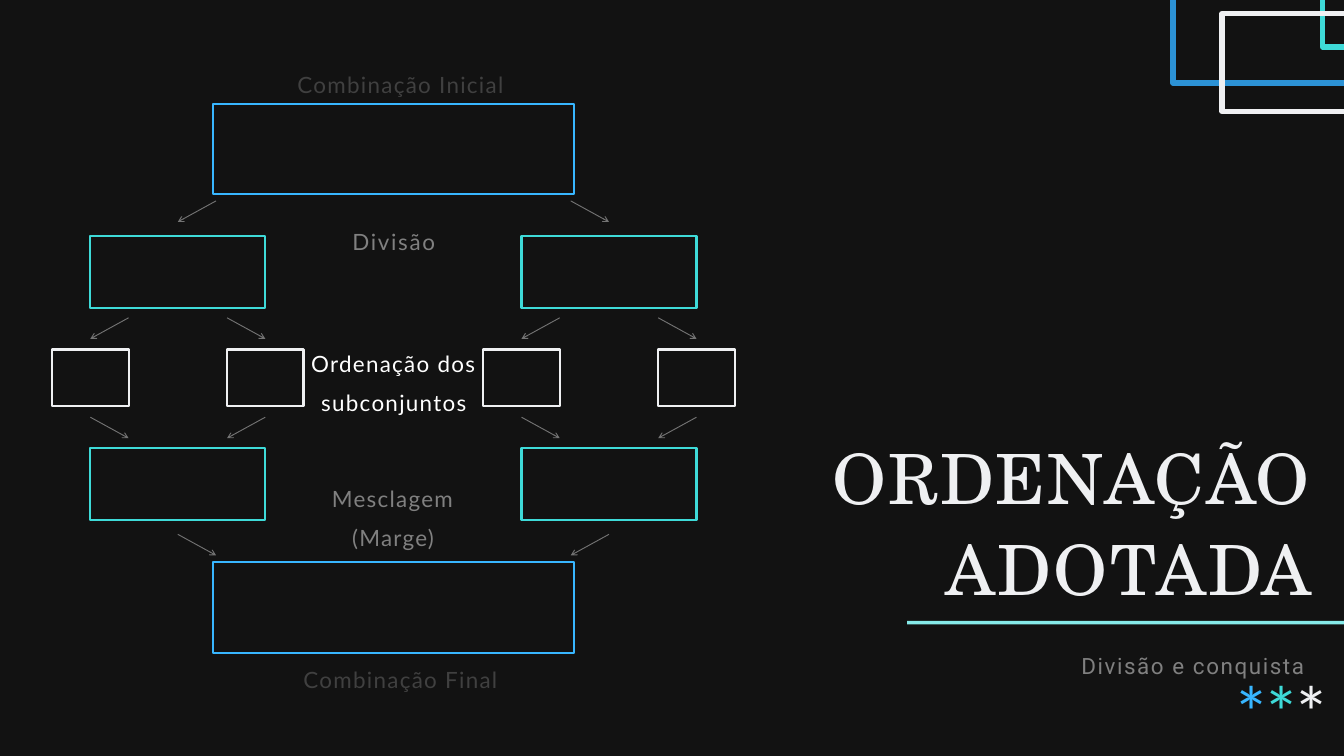
"""Build the divide-and-conquer sorting slide with its split and merge diagram."""
from dataclasses import dataclass

from lxml import etree
from pptx import Presentation
from pptx.dml.color import RGBColor
from pptx.enum.shapes import MSO_CONNECTOR, MSO_SHAPE
from pptx.enum.text import MSO_AUTO_SIZE, PP_ALIGN
from pptx.oxml.ns import qn
from pptx.slide import Slide
from pptx.util import Pt

RECTANGLE = MSO_SHAPE.RECTANGLE
STRAIGHT = MSO_CONNECTOR.STRAIGHT
GROW = MSO_AUTO_SIZE.SHAPE_TO_FIT_TEXT
CENTER, RIGHT = PP_ALIGN.CENTER, PP_ALIGN.RIGHT


@dataclass(frozen=True)
class Theme:
    background: str = "121212"
    blue: str = "38B6FF"
    deep_blue: str = "2C92D5"
    teal: str = "3EDAD8"
    pale_teal: str = "86EAE9"
    light: str = "EFF0F2"
    white: str = "FFFFFF"
    gray: str = "808080"
    dark_gray: str = "404040"
    arrow_gray: str = "737373"
    body_font: str = "Lato"
    subtitle_font: str = "Roboto"
    title_font: str = "TeX Gyre Schola"
    body_size: float = 24
    title_size: float = 74.2
    star_size: float = 75.7
    box_line: float = 2.25
    frame_line: float = 6
    arrow_line: float = 1


THEME = Theme()


@dataclass(frozen=True)
class Box:
    left: float
    top: float
    width: float
    height: float


@dataclass(frozen=True)
class Label:
    box: Box
    pieces: tuple[tuple[str, str], ...]
    line_spacing: float
    tracking: float = 1.4
    font: str = THEME.body_font
    size: float = THEME.body_size
    align: PP_ALIGN = CENTER


@dataclass(frozen=True)
class Level:
    centers: tuple[float, ...]
    tops: tuple[float, ...]
    width: float
    height: float
    color: str


@dataclass(frozen=True)
class Fork:
    center: float
    spread: float
    split_top: float
    merge_top: float


ARROW_WIDTH, ARROW_HEIGHT = 41, 22.5
AXIS, HALF_SPREAD, QUARTER_SPREAD = 421.5, 231, 93.75
HALVES = (AXIS - HALF_SPREAD, AXIS + HALF_SPREAD)
QUARTERS = tuple(half + side * QUARTER_SPREAD for half in HALVES for side in (-1, 1))

LEVELS = (
    Level((AXIS,), (111, 602), 387.5, 97.25, THEME.blue),
    Level(HALVES, (252.5, 480), 187.5, 77.5, THEME.teal),
    Level(QUARTERS, (374.5,), 82, 61, THEME.light),
)
FORKS = (
    Fork(AXIS, HALF_SPREAD, 215.25, 572.5),
    *(Fork(half, QUARTER_SPREAD, 340.5, 447) for half in HALVES),
)
LABELS = (
    Label(Box(244.8, 61.2, 368.6, 37.4), (("Combinação Inicial", THEME.dark_gray),), 43.5),
    Label(Box(325.4, 219.6, 193, 46.8), (("Divisão", THEME.gray),), 54, 1.8),
    Label(Box(311.8, 361.4, 220.3, 79.2), (("Ordenação dos subconjuntos", THEME.white),), 42),
    Label(Box(338.4, 506.2, 165.6, 79.2), (("Mesclagem (Marge)", THEME.gray),), 42),
    Label(Box(244.8, 699.1, 368.6, 37.4), (("Combinação Final", THEME.dark_gray),), 43.5),
    Label(Box(1306.1, 724.3, 133.9, 85.7),
          (("*", THEME.blue), ("*", THEME.teal), ("*", THEME.light)),
          83.3, 0, size=THEME.star_size),
    Label(Box(856.1, 459.4, 549.4, 193.7), (("ORDENAÇÃO ADOTADA", THEME.light),),
          96.5, 2.2, THEME.title_font, THEME.title_size, RIGHT),
    Label(Box(957.6, 676.8, 439.9, 43.9), (("Divisão e conquista", THEME.gray),),
          50.5, 1.7, THEME.subtitle_font, align=RIGHT),
)
TITLE_RULE = Box(972, 665.3, 1182.2, 3.6)
CORNER_FRAMES = (
    (Box(1257, -65, 295, 154), THEME.deep_blue),
    (Box(1417, -65, 188.5, 115.2), THEME.teal),
    (Box(1309.5, 14.5, 137.5, 105), THEME.light),
)


def rgb(color: str) -> RGBColor:
    return RGBColor.from_string(color)


def place(box: Box) -> tuple[Pt, Pt, Pt, Pt]:
    return Pt(box.left), Pt(box.top), Pt(box.width), Pt(box.height)


def draw_outline(slide: Slide, box: Box, color: str, weight: float) -> None:
    outline = slide.shapes.add_shape(RECTANGLE, *place(box))
    outline.shadow.inherit = False
    outline.fill.background()
    outline.line.color.rgb = rgb(color)
    outline.line.width = Pt(weight)


def draw_rule(slide: Slide, box: Box, color: str) -> None:
    rule = slide.shapes.add_shape(RECTANGLE, *place(box))
    rule.shadow.inherit = False
    rule.fill.solid()
    rule.fill.fore_color.rgb = rgb(color)
    rule.line.fill.background()


def draw_arrow(slide: Slide, start_x: float, end_x: float, top: float) -> None:
    arrow = slide.shapes.add_connector(
        STRAIGHT, Pt(start_x), Pt(top), Pt(end_x), Pt(top + ARROW_HEIGHT))
    arrow.line.color.rgb = rgb(THEME.arrow_gray)
    arrow.line.width = Pt(THEME.arrow_line)
    etree.SubElement(arrow.line._get_or_add_ln(), qn("a:tailEnd"), type="arrow")
    etree.SubElement(arrow._element.spPr, qn("a:effectLst"))


def draw_fork(slide: Slide, fork: Fork) -> None:
    for side in (-1, 1):
        outer = fork.center + side * fork.spread
        inner = outer - side * ARROW_WIDTH
        draw_arrow(slide, inner, outer, fork.split_top)
        draw_arrow(slide, outer, inner, fork.merge_top)


def draw_level(slide: Slide, level: Level) -> None:
    for top in level.tops:
        for center in level.centers:
            box = Box(center - level.width / 2, top, level.width, level.height)
            draw_outline(slide, box, level.color, THEME.box_line)


def draw_label(slide: Slide, label: Label) -> None:
    frame = slide.shapes.add_textbox(*place(label.box)).text_frame
    frame.word_wrap = True
    frame.auto_size = GROW
    frame.margin_left = frame.margin_top = frame.margin_right = frame.margin_bottom = 0
    paragraph = frame.paragraphs[0]
    paragraph.alignment = label.align
    paragraph.line_spacing = Pt(label.line_spacing)
    for words, color in label.pieces:
        run = paragraph.add_run()
        run.text = words
        run.font.name = label.font
        run.font.size = Pt(label.size)
        run.font.color.rgb = rgb(color)
        run._r.get_or_add_rPr().set("spc", str(round(label.tracking * 100)))


def main() -> None:
    deck = Presentation()
    deck.slide_width, deck.slide_height = Pt(1440), Pt(810)
    slide = deck.slides.add_slide(deck.slide_layouts[6])
    slide.background.fill.solid()
    slide.background.fill.fore_color.rgb = rgb(THEME.background)
    for level in LEVELS:
        draw_level(slide, level)
    for fork in FORKS:
        draw_fork(slide, fork)
    for label in LABELS:
        draw_label(slide, label)
    draw_rule(slide, TITLE_RULE, THEME.pale_teal)
    for box, color in CORNER_FRAMES:
        draw_outline(slide, box, color, THEME.frame_line)
    deck.save("out.pptx")


if __name__ == "__main__":
    main()
